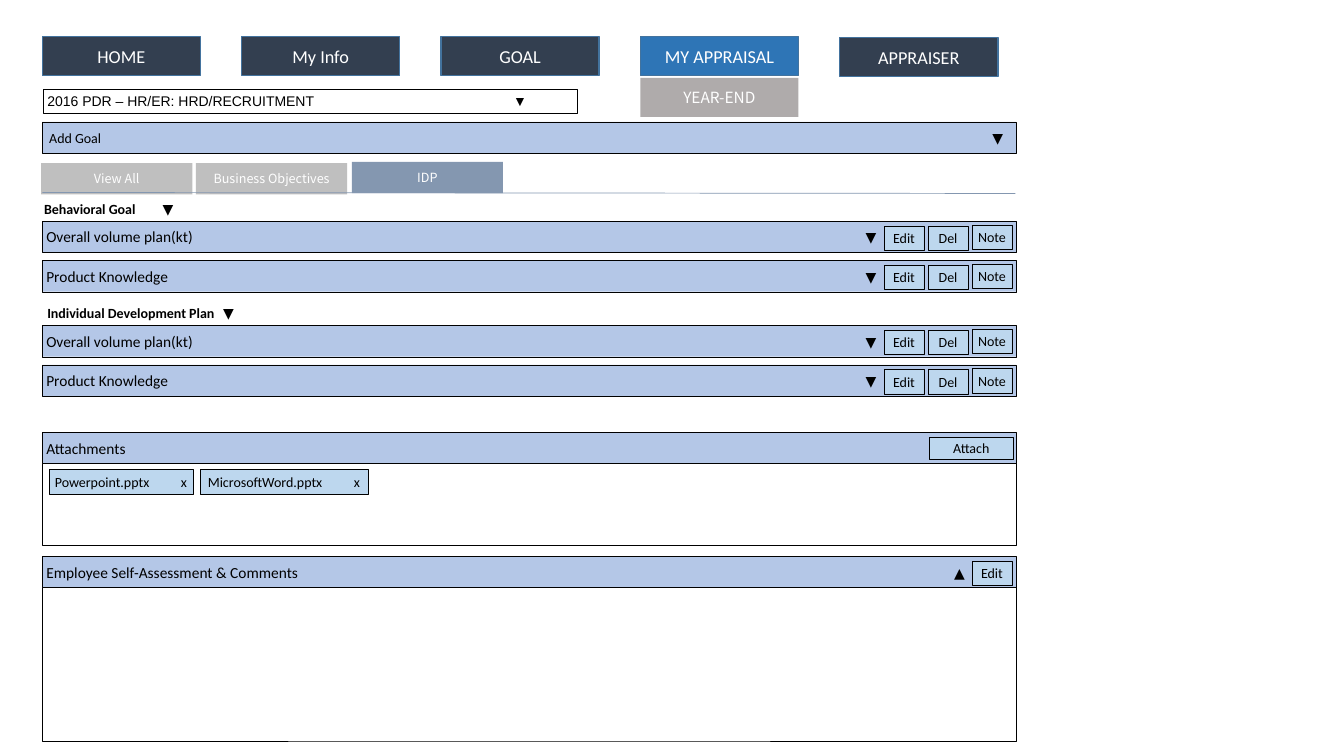
import pptx
import pptx.util
import pptx.dml.color
import pptx.enum.shapes
import pptx.enum.text
import pptx.oxml.ns
import lxml.etree

Pt = pptx.util.Pt
ALIGN = pptx.enum.text.PP_ALIGN
ANCHOR = pptx.enum.text.MSO_ANCHOR

COLORS = {
    "navy": "333F50", "active": "2E75B6", "nav_line": "43739E",
    "submenu": "AFABAB", "bar": "B4C7E7", "button": "BDD7EE",
    "tab": "BFBFBF", "tab_active": "8497B0",
    "black": "000000", "white": "FFFFFF",
}
LEFT, WIDTH, BAR_H = 30.2, 695.5, 22.3
BUTTON_W, BUTTON_H = 28.3, 17.3
EDIT_X, DEL_X, NOTE_X = 631.6, 663.1, 694.4


def rgb(name):
    return pptx.dml.color.RGBColor.from_string(COLORS[name])


class Page:
    """Style and drawing methods for one slide."""

    def __init__(self, slide, font="Calibri"):
        self.slide = slide
        self.font = font

    def label(self, sp, runs, size, color="black", font=None, align=ALIGN.CENTER,
              anchor=ANCHOR.MIDDLE, inset=(2.9, 2.9), tab=None):
        tf = sp.text_frame
        tf.word_wrap = True
        tf.vertical_anchor = anchor
        tf.margin_left, tf.margin_right = Pt(inset[0]), Pt(min(inset[0], 2.9))
        tf.margin_top = tf.margin_bottom = Pt(inset[1])
        p = tf.paragraphs[0]
        p.alignment = align
        if tab:
            tabs = lxml.etree.SubElement(p._p.get_or_add_pPr(), pptx.oxml.ns.qn("a:tabLst"))
            stop = lxml.etree.SubElement(tabs, pptx.oxml.ns.qn("a:tab"))
            stop.set("pos", str(int(Pt(tab))))
            stop.set("algn", "l")
        for text, bold in runs:
            r = p.add_run()
            r.text = text
            r.font.name = font or self.font
            r.font.size = Pt(size)
            r.font.bold = bold
            r.font.color.rgb = rgb(color)

    def box(self, x, y, w, h, fill=None, line=None, weight=0.25):
        sp = self.slide.shapes.add_shape(
            pptx.enum.shapes.MSO_SHAPE.RECTANGLE, Pt(x), Pt(y), Pt(w), Pt(h))
        sp.shadow.inherit = False
        if fill:
            sp.fill.solid()
            sp.fill.fore_color.rgb = rgb(fill)
        else:
            sp.fill.background()
        if line:
            sp.line.color.rgb = rgb(line)
            sp.line.width = Pt(weight)
        else:
            sp.line.fill.background()
        return sp

    def tile(self, x, y, w, h, text, fill, size, line=None, font=None):
        sp = self.box(x, y, w, h, fill, line, 1)
        self.label(sp, [(text, False)], size, "white", font)

    def bar(self, y, text, size=11, indent=2.9):
        sp = self.box(LEFT, y, WIDTH, BAR_H, "bar", "black")
        self.label(sp, [(text, False)], size, align=ALIGN.LEFT, inset=(indent, 2.9))

    def button(self, x, y, text, w=BUTTON_W, h=BUTTON_H):
        sp = self.box(x, y, w, h, "button", "black")
        self.label(sp, [(text, False)], 10)

    def attachment(self, x, w, text, indent, tab):
        sp = self.box(x, 335.4, w, 17.6, "button", "black")
        self.label(sp, [(text, False)], 10, align=ALIGN.LEFT, inset=(indent, 2.9), tab=tab)

    def arrow(self, x, y, symbol="▼"):
        sp = self.slide.shapes.add_textbox(Pt(x), Pt(y), Pt(17.3), Pt(19.4))
        self.label(sp, [(symbol, False)], 10, anchor=ANCHOR.TOP, inset=(0, 3.6))

    def heading(self, y, text, indent, tab):
        sp = self.slide.shapes.add_textbox(Pt(LEFT), Pt(y), Pt(232), Pt(15))
        self.label(sp, [(text + "\t", True), ("▼", False)], 10, align=ALIGN.LEFT,
                   anchor=ANCHOR.TOP, inset=(indent, 1.4), tab=tab)

    def rule(self, x1, y1, x2, y2):
        line = self.slide.shapes.add_connector(
            pptx.enum.shapes.MSO_CONNECTOR.STRAIGHT, Pt(x1), Pt(y1), Pt(x2), Pt(y2))
        line.line.color.rgb = rgb("tab_active")
        line.line.width = Pt(0.5)
        lxml.etree.SubElement(line._element.spPr, pptx.oxml.ns.qn("a:effectLst"))

    def goal(self, y, text):
        self.bar(y, text)
        self.button(NOTE_X, y + 2.7, "Note")
        self.button(EDIT_X, y + 3.4, "Edit")
        self.button(DEL_X, y + 3.4, "Del")
        self.arrow(613.6, y + 2)


def main():
    prs = pptx.Presentation()
    prs.slide_width, prs.slide_height = Pt(960), Pt(540)
    s = Page(prs.slides.add_slide(prs.slide_layouts[6]))

    # Navigation
    for i, name in enumerate(["HOME", "My Info", "GOAL", "MY APPRAISAL", "APPRAISER"]):
        fill = "active" if name == "MY APPRAISAL" else "navy"
        top = 26.8 if name == "APPRAISER" else 26.1
        s.tile(LEFT + 142.4 * i, top, 113, 28, name, fill, 13, "nav_line")
    s.tile(LEFT + 142.4 * 3, 55.6, 113, 28, "YEAR-END", "submenu", 11,
           font="Noto Sans CJK KR")

    # Review selector and new goal
    selector = s.box(31, 63.6, 381, 17.3, None, "black")
    s.label(selector, [("2016 PDR – HR/ER: HRD/RECRUITMENT\t▼", False)], 10,
            font="Arial", align=ALIGN.LEFT, tab=332.6)
    s.bar(87.1, "Add Goal", 10, 5)
    s.arrow(704, 89)

    # Category tabs
    for x, y, name, fill in [(29.4, 116.6, "View All", "tab"),
                             (140, 116.6, "Business Objectives", "tab"),
                             (251.3, 115.7, "IDP", "tab_active")]:
        s.tile(x, y, 108, 22.3, name, fill, 9, font="Noto Sans CJK KR")
    s.rule(LEFT, 137.5, 725.2, 138.2)

    # Goal sections
    for y, title, indent, tab in [(141.8, "Behavioral Goal", 1.4, 84.7),
                                  (216.3, "Individual Development Plan", 3.6, 125.6)]:
        s.heading(y, title, indent, tab)
        s.goal(y + 16.2, "Overall volume plan(kt)")
        s.goal(y + 44.3, "Product Knowledge")

    # Attachments
    s.box(LEFT, 330.7, WIDTH, 59, None, "black")
    s.bar(308.8, "Attachments")
    s.button(664, 312, "Attach", 59.5, 16)
    s.attachment(35.2, 103, "Powerpoint.pptx\tx", 4, 90)
    s.attachment(143.2, 119.9, "MicrosoftWord.pptx\tx", 5.3, 104.3)

    # Self-assessment
    s.box(LEFT, 419.3, WIDTH, 110, None, "black")
    s.bar(397.4, "Employee Self-Assessment & Comments")
    s.button(NOTE_X, 400.9, "Edit")
    s.arrow(676.8, 399.6, "▲")

    prs.save("out.pptx")


if __name__ == "__main__":
    main()
